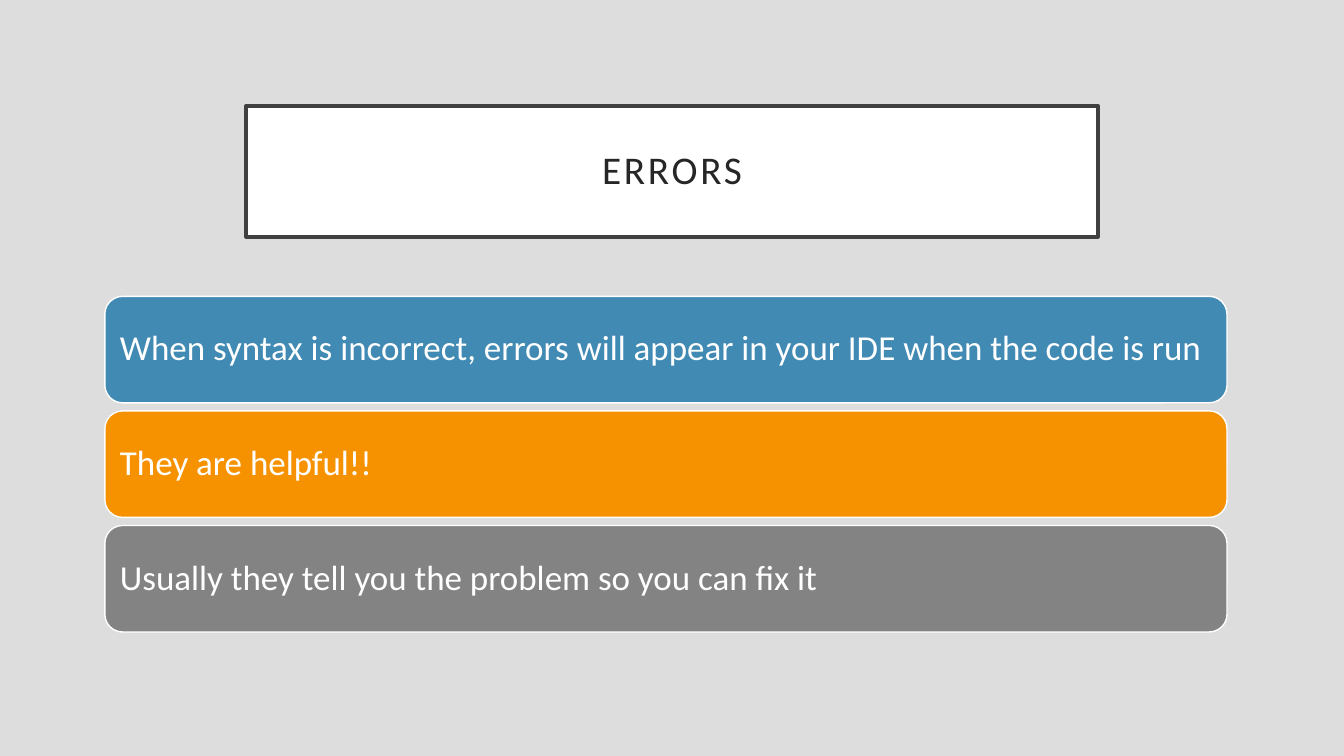
from pptx import Presentation
from pptx.dml.color import RGBColor
from pptx.enum.shapes import MSO_SHAPE
from pptx.enum.text import MSO_ANCHOR, PP_ALIGN
from pptx.util import Inches, Pt

FONT = "Calibri"
POINTS = [
    ("When syntax is incorrect, errors will appear in your IDE when the code is run", "418AB3"),
    ("They are helpful!!", "F69200"),
    ("Usually they tell you the problem so you can fix it", "838383"),
]


def color(hex_code):
    return RGBColor.from_string(hex_code)


def add_panel(s, kind, box, fill, line, line_width, text, size, font_color, align, inset):
    """Add a filled, outlined shape with one line of text; return its run."""
    sp = s.shapes.add_shape(kind, *[Inches(v) for v in box])
    sp.shadow.inherit = False
    sp.fill.solid()
    sp.fill.fore_color.rgb = color(fill)
    sp.line.color.rgb = color(line)
    sp.line.width = Pt(line_width)

    tf = sp.text_frame
    tf.word_wrap = True
    tf.vertical_anchor = MSO_ANCHOR.MIDDLE
    tf.margin_left = tf.margin_right = Inches(inset)
    tf.margin_top = tf.margin_bottom = Inches(inset)
    p = tf.paragraphs[0]
    p.text = text
    p.alignment = align
    p.line_spacing = 0.9
    r = p.runs[0]
    r.font.name = FONT
    r.font.size = Pt(size)
    r.font.color.rgb = color(font_color)
    return r


def add_title(s, box, text):
    r = add_panel(s, MSO_SHAPE.RECTANGLE, box, "FFFFFF", "404040", 2.5,
                  text, 28, "262626", PP_ALIGN.CENTER, 0.2)
    # Letter spacing in hundredths of a point
    r.font._element.set("spc", "200")


def add_points(s, box, points, gap=0.08):
    left, top, width, height = box
    bar_height = (height - gap * (len(points) - 1)) / len(points)
    for i, (text, fill) in enumerate(points):
        bar = (left, top + i * (bar_height + gap), width, bar_height)
        add_panel(s, MSO_SHAPE.ROUNDED_RECTANGLE, bar, fill, "FFFFFF", 1,
                  text, 25, "FFFFFF", PP_ALIGN.LEFT, 0.1)


prs = Presentation()
prs.slide_width, prs.slide_height = Inches(13.33), Inches(7.5)
s = prs.slides.add_slide(prs.slide_layouts[6])

# Background
s.background.fill.solid()
s.background.fill.fore_color.rgb = color("DDDDDD")

# Title and stacked bars
add_title(s, (2.44, 1.05, 8.45, 1.3), "ERRORS")
add_points(s, (1.04, 2.94, 11.13, 3.33), POINTS)

prs.save("out.pptx")
